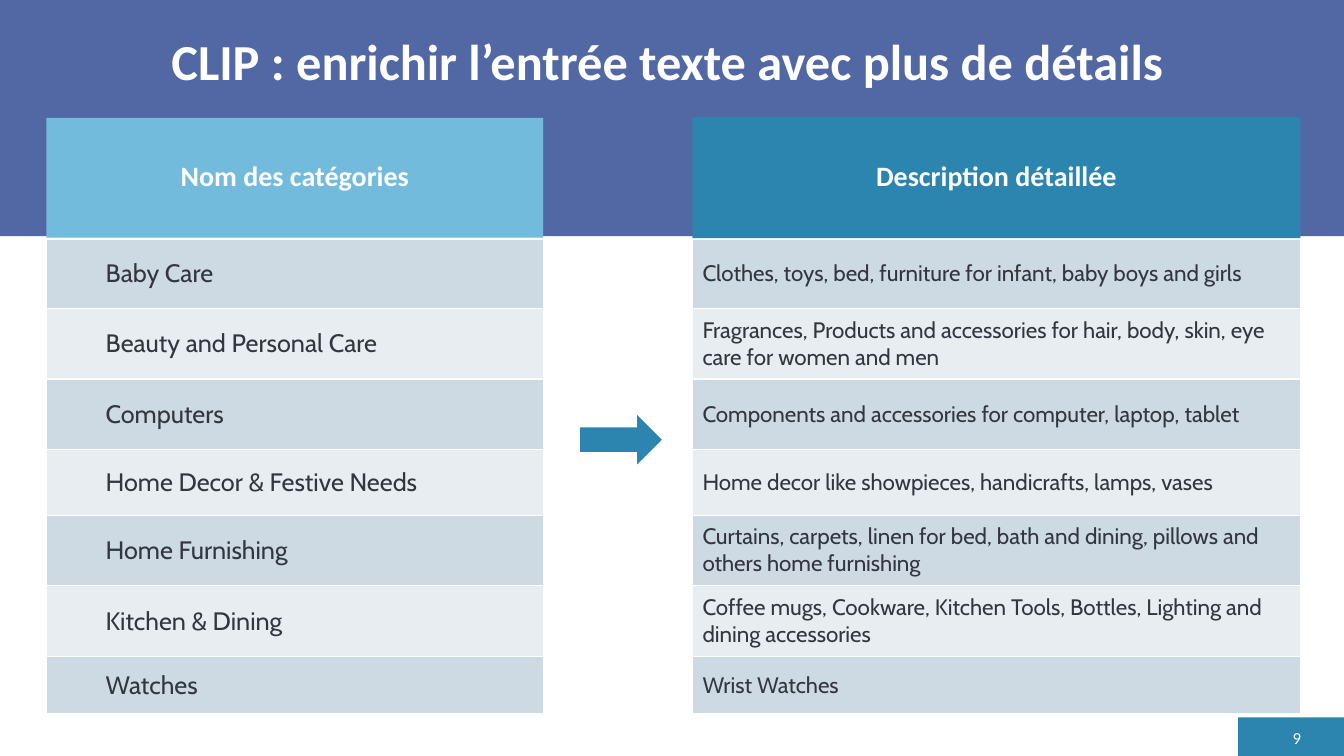
from dataclasses import dataclass

from lxml.etree import SubElement
from pptx import Presentation
from pptx.dml.color import RGBColor
from pptx.enum.shapes import MSO_SHAPE as Preset
from pptx.enum.text import MSO_ANCHOR as Anchor, PP_ALIGN as Align
from pptx.oxml.ns import qn
from pptx.util import Cm, Pt

# Content
TITLE = "CLIP : enrichir l’entrée texte avec plus de détails "
NAME_HEADING = "Nom des catégories"
DETAIL_HEADING = "Description détaillée"
PAGE = "9"
CATEGORIES = [  # name, description, row height in cm
    ("Baby Care", "Clothes, toys, bed, furniture for infant, baby boys and girls", 1.78),
    ("Beauty and Personal Care",
     "Fragrances, Products and accessories for hair, body, skin, eye care for women and men", 1.78),
    ("Computers", "Components and accessories for computer, laptop, tablet", 1.78),
    ("Home Decor & Festive Needs", "Home decor like showpieces, handicrafts, lamps, vases", 1.65),
    ("Home Furnishing",
     "Curtains, carpets, linen for bed, bath and dining, pillows and others home furnishing", 1.78),
    ("Kitchen & Dining",
     "Coffee mugs, Cookware, Kitchen Tools, Bottles, Lighting and dining accessories", 1.78),
    ("Watches", "Wrist Watches", 1.45),
]


@dataclass(frozen=True)
class Theme:
    band: str = "5268A5"
    teal: str = "2C85AE"
    sky: str = "73BBDC"
    white: str = "FFFFFF"
    ink: str = "32363F"
    stripes: tuple = ("CDD9E3", "E8EDF2")
    heading_font: str = "Calibri"
    body_font: str = "Cabin"
    title_size: int = 36
    heading_size: int = 20
    name_size: int = 18
    detail_size: int = 16
    page_size: int = 12


theme = Theme()
WIDTH, HEIGHT = 33.87, 19.05
LEFT, TABLE_TOP, TOP_ROW = 1.17, 4.9, 1.09
COLUMNS = (12.52, 3.76, 15.32)
DETAIL_LEFT = LEFT + COLUMNS[0] + COLUMNS[1]
BAND_HEIGHT = 5.95

deck = Presentation()
deck.slide_width, deck.slide_height = Cm(WIDTH), Cm(HEIGHT)
slide = deck.slides.add_slide(deck.slide_layouts[6])


def block(preset, box, color):
    shape = slide.shapes.add_shape(preset, *map(Cm, box))
    shape.shadow.inherit = False
    shape.fill.solid()
    shape.fill.fore_color.rgb = RGBColor.from_string(color)
    shape.line.fill.background()
    return shape


def write(frame, text, size, color=theme.white, face=theme.heading_font,
          bold=False, align=Align.CENTER, spacing=None):
    frame.word_wrap = True
    frame.vertical_anchor = Anchor.MIDDLE
    paragraph = frame.paragraphs[0]
    paragraph.text = text
    paragraph.alignment = align
    paragraph.line_spacing = spacing
    font = paragraph.font
    font.name, font.size, font.bold = face, Pt(size), bold
    font.color.rgb = RGBColor.from_string(color)
    return paragraph


def paint(cell, color, bottom=1):
    properties = cell._tc.get_or_add_tcPr()
    for side, width in (("L", 1), ("R", 1), ("T", 1), ("B", bottom)):
        edge = SubElement(properties, qn(f"a:ln{side}"), w=str(Pt(width)))
        SubElement(SubElement(edge, qn("a:solidFill")), qn("a:srgbClr"), val=theme.white)
    cell.fill.solid()
    cell.fill.fore_color.rgb = RGBColor.from_string(color)


# Page number in the corner
block(Preset.RECTANGLE, (31.2, 18.08, WIDTH - 31.2, HEIGHT - 18.08), theme.teal)
page = slide.shapes.add_textbox(Cm(32), Cm(18.29), Cm(1.04), Cm(0.58)).text_frame
write(page, PAGE, theme.page_size, align=Align.RIGHT)

# Category table, its top row tucked behind the band
heights = [TOP_ROW] + [height for _, _, height in CATEGORIES]
table = slide.shapes.add_table(
    len(heights), len(COLUMNS), Cm(LEFT), Cm(TABLE_TOP), Cm(sum(COLUMNS)), Cm(sum(heights))).table
for column, width in zip(table.columns, COLUMNS):
    column.width = Cm(width)
for row, height in zip(table.rows, heights):
    row.height = Cm(height)
for index, row in enumerate(table.rows):
    name_cell, gap_cell, detail_cell = row.cells
    color = theme.stripes[(index - 1) % 2] if index else theme.teal
    bottom = 1 if index else 3
    paint(name_cell, color, bottom)
    paint(gap_cell, theme.white, bottom)
    paint(detail_cell, color, bottom)
    if index:
        name, detail, _ = CATEGORIES[index - 1]
        for cell, text, size in ((name_cell, name, theme.name_size),
                                 (detail_cell, detail, theme.detail_size)):
            cell.vertical_anchor = Anchor.MIDDLE
            paragraph = write(cell.text_frame, text, size, theme.ink,
                              theme.body_font, align=Align.LEFT)
            if cell is name_cell:
                paragraph._p.get_or_add_pPr().set("marL", str(Cm(1.24)))

# Band and title
block(Preset.RECTANGLE, (0, 0, WIDTH, BAND_HEIGHT), theme.band)
title = slide.shapes.add_textbox(Cm(0.97), Cm(0.56), Cm(32), Cm(2.11)).text_frame
write(title, TITLE, theme.title_size, bold=True, spacing=0.9)

# Column headings
for heading, box, color in (
    (DETAIL_HEADING, (DETAIL_LEFT, 2.95, COLUMNS[2], 3.05), theme.teal),
    (NAME_HEADING, (LEFT, 2.97, COLUMNS[0], 3.02), theme.sky),
):
    write(block(Preset.RECTANGLE, box, color).text_frame, heading,
          theme.heading_size, bold=True, spacing=0.9)

# Arrow from names to descriptions
block(Preset.RIGHT_ARROW, (14.62, 10.46, 2.06, 1.24), theme.teal)

deck.save("out.pptx")
